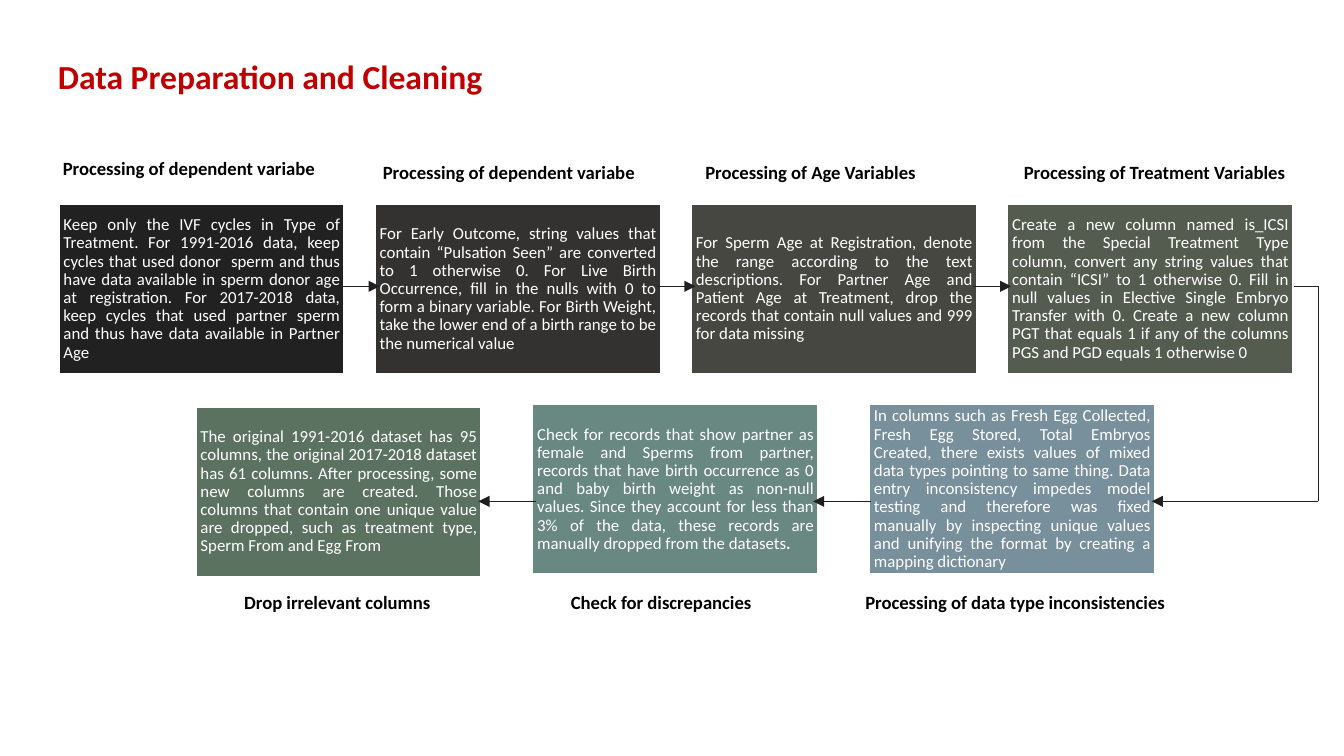
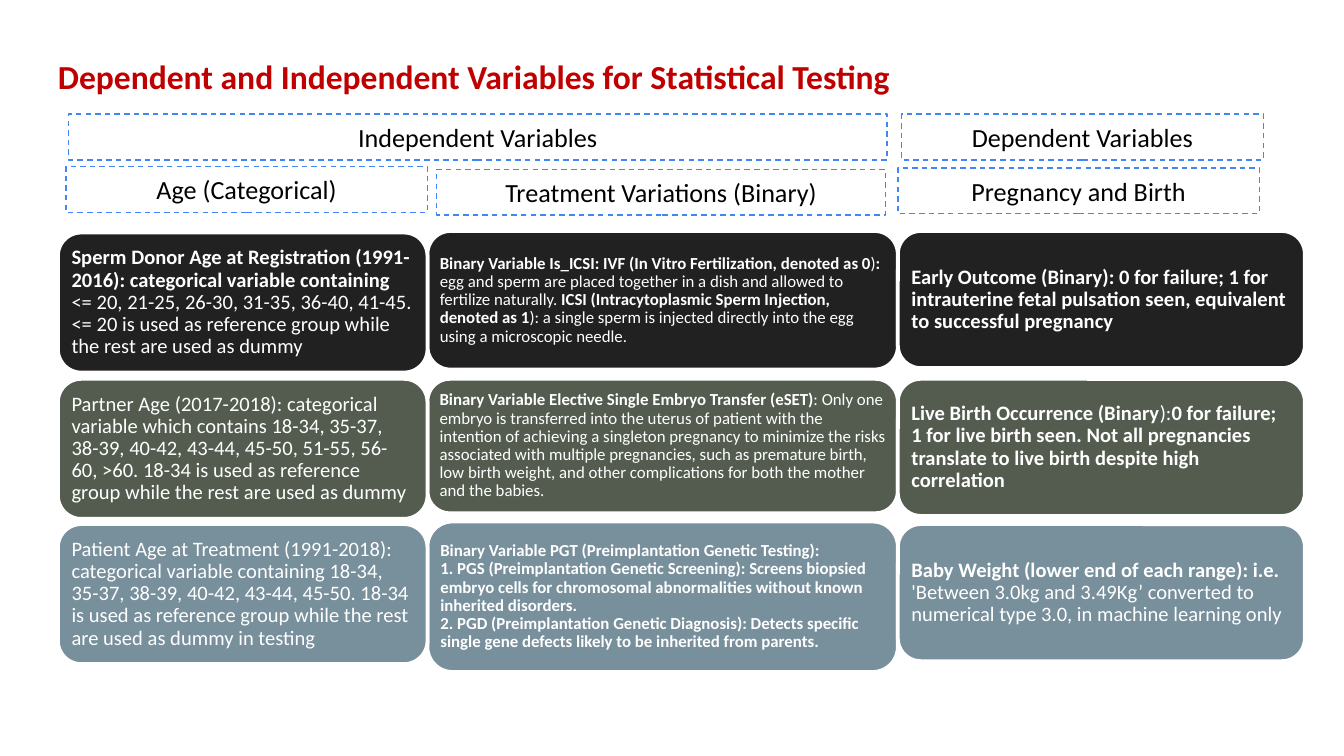
from lxml import etree
from pptx import Presentation
from pptx import util as u
from pptx.dml.color import RGBColor
from pptx.enum import dml, shapes, text
from pptx.oxml import ns

Pt = u.Pt

COLORS = {
    "title": "C00000",
    "black": "000000",
    "white": "FFFFFF",
    "arrow": "202020",
    "dash": "4285F4",
    "charcoal": "212121",
    "umber": "343231",
    "olive": "474741",
    "moss": "545C4F",
    "green": "5C7261",
    "teal": "698882",
    "slate": "788F9C",
}


class Deck:
    font = "Calibri"

    def __init__(self):
        self.presentation = Presentation()
        self.presentation.slide_width = Pt(720)
        self.presentation.slide_height = Pt(405)
        self.slide = None

    def color(self, name):
        return RGBColor.from_string(COLORS[name])

    def start_slide(self, title):
        self.slide = self.presentation.slides.add_slide(self.presentation.slide_layouts[5])
        shape = self.slide.shapes.title
        shape.left, shape.top, shape.width, shape.height = Pt(31), Pt(24), Pt(577), Pt(36.5)
        self.fill_text(shape, f"**{title}", 18, "title", margins=(0, 0), spacing=0.9)

    def fill_text(self, shape, content, size, color, align=text.PP_ALIGN.LEFT,
                  anchor=text.MSO_ANCHOR.MIDDLE, margins=(7.2, 3.6), spacing=None):
        frame = shape.text_frame
        frame.word_wrap = True
        frame.auto_size = text.MSO_AUTO_SIZE.NONE
        frame.vertical_anchor = anchor
        frame.margin_left = frame.margin_right = Pt(margins[0])
        frame.margin_top = frame.margin_bottom = Pt(margins[1])
        paragraph = frame.paragraphs[0]
        paragraph.alignment = align
        if spacing:
            paragraph.line_spacing = spacing
        for index, part in enumerate(content.split("**")):
            for line_number, line in enumerate(part.split("\n")):
                if line_number:
                    paragraph.add_line_break()
                if not line:
                    continue
                run = paragraph.add_run()
                run.text = line
                run.font.name = self.font
                run.font.size = Pt(size)
                run.font.bold = index % 2 == 1
                run.font.color.rgb = self.color(color)

    def label(self, left, top, content, width=186):
        box = self.slide.shapes.add_textbox(Pt(left), Pt(top), Pt(width), Pt(31.7))
        self.fill_text(box, f"**{content}", 10, "black", anchor=text.MSO_ANCHOR.TOP)

    def card(self, left, top, width, height, fill, content, size=9,
             kind=shapes.MSO_SHAPE.RECTANGLE, align=text.PP_ALIGN.LEFT):
        card = self.slide.shapes.add_shape(kind, Pt(left), Pt(top), Pt(width), Pt(height))
        card.shadow.inherit = False
        card.fill.solid()
        card.fill.fore_color.rgb = self.color(fill)
        card.line.color.rgb = self.color("white")
        card.line.width = Pt(2)
        margin = size / 3
        self.fill_text(card, content, size, "white", align, margins=(margin, margin), spacing=0.9)

    def header(self, left, top, width, content):
        header = self.slide.shapes.add_shape(
            shapes.MSO_SHAPE.RECTANGLE, Pt(left), Pt(top), Pt(width), Pt(24.5))
        header.shadow.inherit = False
        header.fill.background()
        header.line.color.rgb = self.color("dash")
        header.line.width = Pt(0.75)
        header.line.dash_style = dml.MSO_LINE.DASH
        self.fill_text(header, content, 14, "black", text.PP_ALIGN.CENTER)

    def line(self, x1, y1, x2, y2, arrow=True):
        connector = self.slide.shapes.add_connector(
            shapes.MSO_CONNECTOR.STRAIGHT, Pt(x1), Pt(y1), Pt(x2), Pt(y2))
        connector.line.color.rgb = self.color("arrow")
        connector.line.width = Pt(0.75)
        properties = connector._element.spPr
        if arrow:
            etree.SubElement(properties.find(ns.qn("a:ln")), ns.qn("a:tailEnd"), type="triangle")
        etree.SubElement(properties, ns.qn("a:effectLst"))


def build_cleaning(deck):
    deck.start_slide("Data Preparation and Cleaning")
    width, height = 154, 92.2
    first_row = [
        ("charcoal", "Keep only the IVF cycles in Type of Treatment. For 1991-2016 data, keep cycles "
         "that used donor  sperm and thus have data available in sperm donor age at registration. "
         "For 2017-2018 data, keep cycles that used partner sperm and thus have data available in "
         "Partner Age"),
        ("umber", "For Early Outcome, string values that contain “Pulsation Seen” are converted to 1 "
         "otherwise 0. For Live Birth Occurrence, fill in the nulls with 0 to form a binary variable. "
         "For Birth Weight, take the lower end of a birth range to be the numerical value"),
        ("olive", "For Sperm Age at Registration, denote the range according to the text descriptions. "
         "For Partner Age and Patient Age at Treatment, drop the records that contain null values and "
         "999 for data missing"),
        ("moss", "Create a new column named is_ICSI from the Special Treatment Type column, convert any "
         "string values that contain “ICSI” to 1 otherwise 0. Fill in null values in Elective Single "
         "Embryo Transfer with 0. Create a new column PGT that equals 1 if any of the columns PGS and "
         "PGD equals 1 otherwise 0"),
    ]
    second_row = [
        ("green", 217.4, "The original 1991-2016 dataset has 95 columns, the original 2017-2018 dataset "
         "has 61 columns. After processing, some new columns are created. Those columns that contain "
         "one unique value are dropped, such as treatment type, Sperm From and Egg From"),
        ("teal", 216, "Check for records that show partner as female and Sperms from partner, records "
         "that have birth occurrence as 0 and baby birth weight as non-null values. Since they account "
         "for less than 3% of the data, these records are manually dropped from the datasets**."),
        ("slate", 216, "In columns such as Fresh Egg Collected, Fresh Egg Stored, Total Embryos Created, "
         "there exists values of mixed data types pointing to same thing. Data entry inconsistency "
         "impedes model testing and therefore was fixed manually by inspecting unique values and "
         "unifying the format by creating a mapping dictionary"),
    ]
    for column, (fill, content) in enumerate(first_row):
        deck.card(31 + 169.4 * column, 108.7, width, height, fill, content,
                  align=text.PP_ALIGN.JUSTIFY)
    for column, (fill, top, content) in enumerate(second_row):
        deck.card(104.4 + 180.4 * column, top, width, height, fill, content,
                  align=text.PP_ALIGN.JUSTIFY)

    upper, lower, turn = 153.4, 268.6, 706.3
    for step in range(3):
        start = 182.9 + 169.2 * step
        deck.line(start, upper, start + 20.5, upper)
    deck.line(693.4, upper, turn, upper, arrow=False)
    deck.line(turn, upper, turn, lower, arrow=False)
    deck.line(turn, lower, 617, lower)
    for start in (466.6, 287.3):
        deck.line(start, lower, start - 31, lower)

    for left, top, content in [
        (26.6, 80.6, "Processing of dependent variabe"),
        (198, 82.8, "Processing of dependent variabe"),
        (370.8, 82.8, "Processing of Age Variables"),
        (541.4, 82.8, "Processing of Treatment Variables"),
        (123.8, 313.2, "Drop irrelevant columns"),
        (298.8, 313.2, "Check for discrepancies"),
    ]:
        deck.label(left, top, content)
    deck.label(456.5, 313.2, "Processing of data type inconsistencies", width=200)


def build_variables(deck):
    deck.start_slide("Dependent and Independent Variables for Statistical Testing")
    fills = ("charcoal", "moss", "slate")
    columns = [
        (229, 252, 9, [
            (123.8, 74.2, "**Binary Variable Is_ICSI: IVF (In Vitro Fertilization, denoted as 0**)**:** "
             "egg and sperm are placed together in a dish and allowed to fertilize naturally. "
             "**ICSI (Intracytoplasmic Sperm Injection, denoted as 1**): a single sperm is injected "
             "directly into the egg using a microscopic needle."),
            (203, 72, "**Binary Variable Elective Single Embryo Transfer (eSET)**: Only one embryo is "
             "transferred into the uterus of patient with the intention of achieving a singleton "
             "pregnancy to minimize the risks associated with multiple pregnancies, such as premature "
             "birth, low birth weight, and other complications for both the mother and the babies."),
            (279.4, 80.6, "**Binary Variable PGT (Preimplantation Genetic Testing):\n"
             "1. PGS (Preimplantation Genetic Screening): Screens biopsied embryo cells for chromosomal "
             "abnormalities without known inherited disorders.\n"
             "2. PGD (Preimplantation Genetic Diagnosis): Detects specific single gene defects likely "
             "to be inherited from parents."),
        ]),
        (31, 198, 11, [
            (124.6, 75, "**Sperm Donor Age at Registration (1991-2016): categorical variable containing "
             "**<= 20, 21-25, 26-30, 31-35, 36-40, 41-45. <= 20 is used as reference group while the "
             "rest are used as dummy"),
            (203, 75, "Partner Age (2017-2018): categorical variable which contains 18-34, 35-37, 38-39, "
             "40-42, 43-44, 45-50, 51-55, 56-60, >60. 18-34 is used as reference group while the rest "
             "are used as dummy"),
            (280.8, 75, "Patient Age at Treatment (1991-2018): categorical variable containing 18-34, "
             "35-37, 38-39, 40-42, 43-44, 45-50. 18-34 is used as reference group while the rest are "
             "used as dummy in testing"),
        ]),
        (481, 218, 11, [
            (123.8, 73.4, "**Early Outcome (Binary): 0 for failure; 1 for intrauterine fetal pulsation "
             "seen, equivalent to successful pregnancy"),
            (203, 73.4, "**Live Birth Occurrence (Binary**):**0 for failure; 1 for live birth seen. Not "
             "all pregnancies translate to live birth despite high correlation"),
            (280.8, 73.4, "**Baby Weight (lower end of each range): i.e. **'Between 3.0kg and 3.49Kg’ "
             "converted to numerical type 3.0, in machine learning only"),
        ]),
    ]
    for left, width, size, cards in columns:
        for fill, (top, height, content) in zip(fills, cards):
            deck.card(left, top, width, height, fill, content, size,
                      shapes.MSO_SHAPE.ROUNDED_RECTANGLE)

    for left, top, width, content in [
        (36.7, 61.2, 438.5, "Independent Variables"),
        (483.1, 61.2, 193.7, "Dependent Variables"),
        (35.3, 89.3, 193.7, "Age (Categorical)"),
        (234, 90.7, 240.5, "Treatment Variations (Binary)"),
        (481, 90, 193.7, "Pregnancy and Birth"),
    ]:
        deck.header(left, top, width, content)


def main():
    deck = Deck()
    build_cleaning(deck)
    build_variables(deck)
    deck.presentation.save("out.pptx")


if __name__ == "__main__":
    main()
